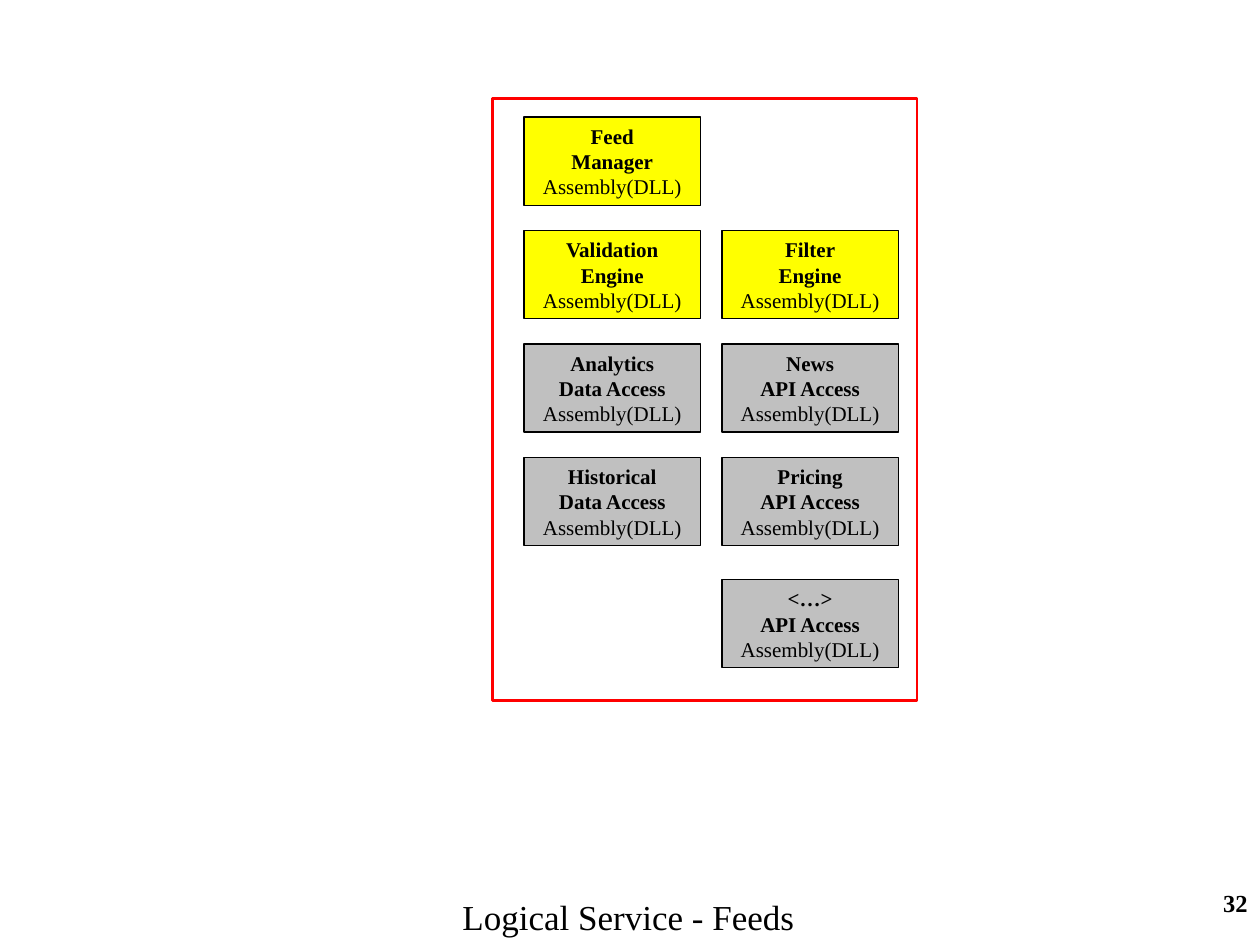
import pptx
import pptx.util
from pptx.dml.color import RGBColor
from pptx.enum.shapes import MSO_SHAPE
from pptx.enum.text import MSO_ANCHOR, PP_ALIGN

BLACK = RGBColor(0x00, 0x00, 0x00)
RED = RGBColor(0xFF, 0x00, 0x00)
YELLOW = RGBColor(0xFF, 0xFF, 0x00)
GRAY = RGBColor(0xC0, 0xC0, 0xC0)
FONT = "Times New Roman"

# Content: column, row, name (\n starts a paragraph, \v breaks a line), fill
TITLE = "Logical Service - Feeds"
PAGE_NUMBER = "32"
ASSEMBLY = "Assembly(DLL)"
ASSEMBLIES = [
    (0, 1, "Validation\nEngine", YELLOW),
    (0, 0, "Feed\nManager", YELLOW),
    (0, 2, "Analytics\vData Access", GRAY),
    (0, 3, "Historical\vData Access", GRAY),
    (1, 1, "Filter\nEngine", YELLOW),
    (1, 2, "News\vAPI Access", GRAY),
    (1, 3, "Pricing\vAPI Access", GRAY),
    (1, 4, "<…>\vAPI Access", GRAY),
]

# Grid in inches; the last row stands slightly apart
GRID_LEFT, GRID_TOP = 4.16, 0.93
COLUMN_STEP, ROW_STEP = 1.57, 0.9
BOX_WIDTH, BOX_HEIGHT = 1.4, 0.7
LAST_ROW, LAST_ROW_GAP = 4, 0.07


def inches(*lengths):
    return [pptx.util.Inches(length) for length in lengths]


def format_paragraph(paragraph, size, alignment, bold=False):
    paragraph.alignment = alignment
    font = paragraph.font
    font.name, font.size, font.bold = FONT, pptx.util.Pt(size), bold
    font.color.rgb = BLACK


def add_box(position, line_color, line_width, fill=None):
    shape = slide.shapes.add_shape(MSO_SHAPE.RECTANGLE, *inches(*position))
    shape.shadow.inherit = False
    if fill is None:
        shape.fill.background()
    else:
        shape.fill.solid()
        shape.fill.fore_color.rgb = fill
    shape.line.color.rgb = line_color
    shape.line.width = pptx.util.Pt(line_width)
    return shape


def add_assembly(column, row, name, fill):
    left = GRID_LEFT + column * COLUMN_STEP
    top = GRID_TOP + row * ROW_STEP + (LAST_ROW_GAP if row == LAST_ROW else 0)
    shape = add_box((left, top, BOX_WIDTH, BOX_HEIGHT), BLACK, 0.75, fill)
    frame = shape.text_frame
    frame.word_wrap = False
    frame.vertical_anchor = MSO_ANCHOR.MIDDLE
    frame.text = name + "\v"
    for paragraph in frame.paragraphs:
        format_paragraph(paragraph, 12, PP_ALIGN.CENTER, bold=True)
    kind = frame.paragraphs[-1].add_run()
    kind.text = ASSEMBLY
    kind.font.bold = False


presentation = pptx.Presentation()
presentation.slide_width, presentation.slide_height = inches(10, 7.5)
slide = presentation.slides.add_slide(presentation.slide_layouts[5])

# Page number
number_box = slide.shapes.add_textbox(*inches(7.92, 7, 2.08, 0.5))
number_box.text_frame.word_wrap = True
number_box.text_frame.text = PAGE_NUMBER
format_paragraph(number_box.text_frame.paragraphs[0], 14, PP_ALIGN.RIGHT, bold=True)

# Title at the foot of the slide
title = slide.shapes.title
title.left, title.top, title.width, title.height = inches(3.57, 7.06, 2.85, 0.44)
title.text_frame.text = TITLE
title.text_frame.word_wrap = False
title.text_frame.vertical_anchor = MSO_ANCHOR.TOP
format_paragraph(title.text_frame.paragraphs[0], 20, PP_ALIGN.LEFT)

# Service boundary and its assemblies
add_box((3.91, 0.78, 3.37, 4.78), RED, 1.5)
for assembly in ASSEMBLIES:
    add_assembly(*assembly)

presentation.save("out.pptx")
